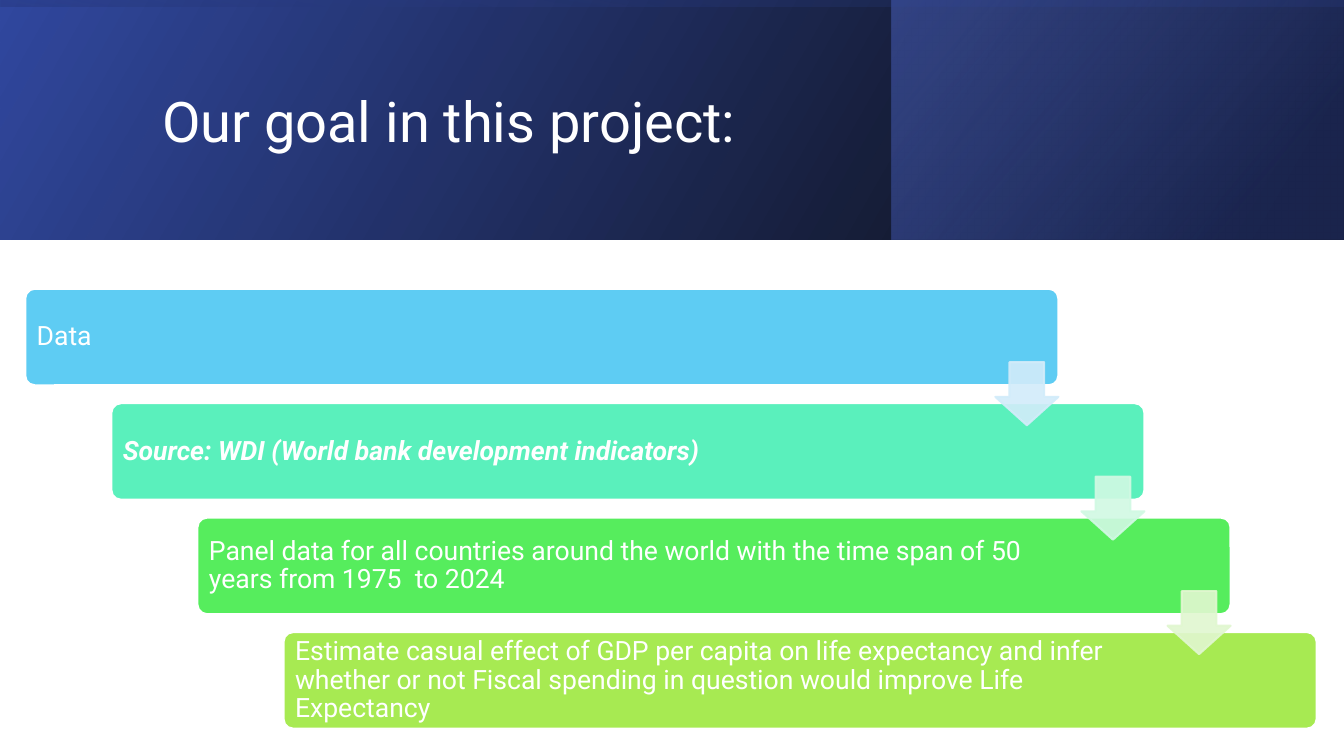
from dataclasses import dataclass

from lxml.etree import SubElement
from pptx import Presentation
from pptx.dml.color import RGBColor as Color
from pptx.enum.shapes import MSO_SHAPE as Shape
from pptx.enum.text import MSO_ANCHOR as Anchor, PP_ALIGN as Align
from pptx.oxml.ns import qn
from pptx.shapes.autoshape import Shape as AutoShape
from pptx.slide import Slide
from pptx.util import Emu, Pt

EMU_PER_PX = 9525


@dataclass(frozen=True)
class Theme:
    font: str = "Roboto"
    white: str = "FFFFFF"
    title_size: int = 40
    body_size: int = 19
    outline: float = 1.5
    line_spacing: float = 0.9
    arrow_alpha: int = 90


@dataclass(frozen=True)
class Frame:
    left: int
    top: int
    width: int
    height: int

    def shifted(self, steps: int) -> "Frame":
        return Frame(self.left + STEP_X * steps, self.top + STEP_Y * steps,
                     self.width, self.height)

    def emu(self) -> list[Emu]:
        return [Emu(value * EMU_PER_PX)
                for value in (self.left, self.top, self.width, self.height)]


@dataclass(frozen=True)
class Stop:
    position: float
    color: str
    alpha: int


@dataclass(frozen=True)
class Band:
    frame: Frame
    stops: tuple[Stop, Stop]
    angle: int
    rotation: int = 0


@dataclass(frozen=True)
class Step:
    text: str
    color: str
    text_width: int
    emphasis: bool = False


THEME = Theme()
PAGE = Frame(0, 0, 1280, 720)
TITLE = Frame(145, 36, 1020, 165)
CARD = Frame(24, 275, 984, 92)
ARROW = Frame(948, 345, 60, 60)
STEP_X, STEP_Y = 82, 109
CARD_PADDING = 3
TEXT_INSET = 8

BANDS = [
    Band(Frame(0, 0, 1280, 228),
         (Stop(0, "000000", 96), Stop(1, "31489F", 100)), 30),
    Band(Frame(849, 0, 430, 228),
         (Stop(0.19, "21306A", 68), Stop(1, "4E67C8", 48)), 40),
    Band(Frame(526, -526, 228, 1280),
         (Stop(0.23, "31489F", 16), Stop(0.99, "000000", 45)), 10, 270),
]
STEPS = [
    Step("Data", "5ECCF3", 876),
    Step("Source: WDI (World bank development indicators)", "5AF0BC", 836, True),
    Step("Panel data for all countries around the world with the time span "
         "of 50 years from 1975  to 2024", "56ED5D", 837),
    Step("Estimate casual effect of GDP per capita on life expectancy and infer "
         "whether or not Fiscal spending in question would improve Life "
         "Expectancy", "A7EA52", 836),
]
ARROW_COLORS = ["D2ECFA", "D1F9E3", "E1F7D0"]


def set_alphas(shape: AutoShape, alphas: list[int]) -> None:
    colors = list(shape.element.spPr.iter(qn("a:srgbClr")))
    for color, alpha in zip(colors, alphas):
        if alpha < 100:
            SubElement(color, qn("a:alpha")).set("val", str(alpha * 1000))


def add_band(page: Slide, band: Band) -> None:
    shape = page.shapes.add_shape(Shape.RECTANGLE, *band.frame.emu())
    shape.shadow.inherit = False
    shape.line.fill.background()
    shape.rotation = band.rotation
    shape.element.spPr.find(qn("a:xfrm")).set("flipH", "1")
    shape.fill.gradient()
    shape.fill.gradient_angle = band.angle
    for target, stop in zip(shape.fill.gradient_stops, band.stops):
        target.color.rgb = Color.from_string(stop.color)
        target.position = stop.position
    set_alphas(shape, [stop.alpha for stop in band.stops])


def add_solid(page: Slide, kind: Shape, frame: Frame, fill: str, line: str,
              adjustments: list[float]) -> AutoShape:
    shape = page.shapes.add_shape(kind, *frame.emu())
    shape.shadow.inherit = False
    shape.fill.solid()
    shape.fill.fore_color.rgb = Color.from_string(fill)
    shape.line.color.rgb = Color.from_string(line)
    shape.line.width = Pt(THEME.outline)
    for index, value in enumerate(adjustments):
        shape.adjustments[index] = value
    return shape


def add_text(page: Slide, frame: Frame, text: str, size: int,
             emphasis: bool = False, inset: int | None = None) -> None:
    box = page.shapes.add_textbox(*frame.emu()).text_frame
    box_format = {"word_wrap": True, "vertical_anchor": Anchor.MIDDLE}
    if inset is not None:
        for side in ("left", "top", "right", "bottom"):
            box_format[f"margin_{side}"] = Emu(inset * EMU_PER_PX)
    for name, value in box_format.items():
        setattr(box, name, value)
    para = box.paragraphs[0]
    para.alignment = Align.LEFT
    para.line_spacing = THEME.line_spacing
    span = para.add_run()
    span.text = text
    font_format = {"name": THEME.font, "size": Pt(size),
                   "bold": emphasis, "italic": emphasis}
    for name, value in font_format.items():
        setattr(span.font, name, value)
    span.font.color.rgb = Color.from_string(THEME.white)


def add_step(page: Slide, index: int, step: Step) -> None:
    card = CARD.shifted(index)
    add_solid(page, Shape.ROUNDED_RECTANGLE, card, step.color, THEME.white, [0.1])
    label = Frame(card.left + CARD_PADDING, card.top + CARD_PADDING,
                  step.text_width, card.height - 2 * CARD_PADDING)
    add_text(page, label, step.text, THEME.body_size, step.emphasis, TEXT_INSET)


def add_arrow(page: Slide, index: int, color: str) -> None:
    arrow = add_solid(page, Shape.DOWN_ARROW, ARROW.shifted(index), color, color,
                      [0.55, 0.45])
    set_alphas(arrow, [THEME.arrow_alpha] * 2)


def main() -> None:
    deck = Presentation()
    deck.slide_width, deck.slide_height = PAGE.emu()[2:]
    page = deck.slides.add_slide(deck.slide_layouts[6])
    for band in BANDS:
        add_band(page, band)
    add_text(page, TITLE, "Our goal in this project:", THEME.title_size)
    for index, step in enumerate(STEPS):
        add_step(page, index, step)
    for index, color in enumerate(ARROW_COLORS):
        add_arrow(page, index, color)
    deck.save("out.pptx")


if __name__ == "__main__":
    main()
